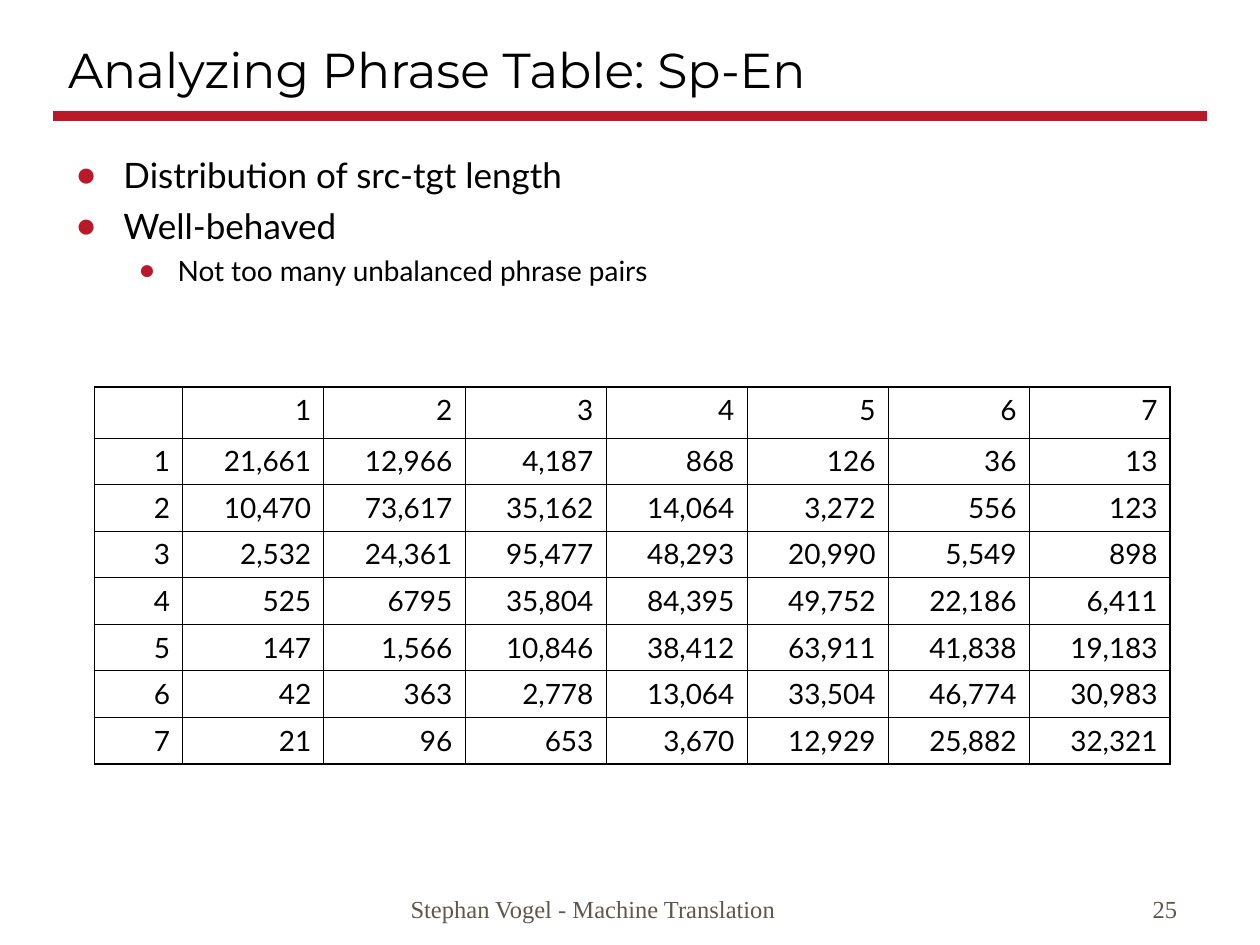
from lxml import etree
from pptx import Presentation
from pptx import util as u
from pptx.dml.color import RGBColor
from pptx.enum import shapes, text
from pptx.oxml import parse_xml
from pptx.oxml.ns import nsdecls, qn

COLORS = {"red": "B91928", "black": "000000", "footer": "5E574E"}
WIDTH, HEIGHT = 10, 7.5
THIN, THICK = 0.45, 1.08

BULLETS = [  # level, text
    (0, "Distribution of src-tgt length"),
    (0, "Well-behaved"),
    (1, "Not too many unbalanced phrase pairs"),
]
LEVELS = [  # font size, space before, left margin, hanging indent
    (20, 5, 0.38, 0.38),
    (16, 4, 0.81, 0.31),
]
COUNTS = [
    ["21,661", "12,966", "4,187", "868", "126", "36", "13"],
    ["10,470", "73,617", "35,162", "14,064", "3,272", "556", "123"],
    ["2,532", "24,361", "95,477", "48,293", "20,990", "5,549", "898"],
    ["525", "6795", "35,804", "84,395", "49,752", "22,186", "6,411"],
    ["147", "1,566", "10,846", "38,412", "63,911", "41,838", "19,183"],
    ["42", "363", "2,778", "13,064", "33,504", "46,774", "30,983"],
    ["21", "96", "653", "3,670", "12,929", "25,882", "32,321"],
]


def place(shape, left, top, width, height):
    shape.left, shape.top = u.Inches(left), u.Inches(top)
    shape.width, shape.height = u.Inches(width), u.Inches(height)


def write(paragraph, words, size=16, font="Lato", color="black",
          align=text.PP_ALIGN.LEFT, before=0):
    paragraph.alignment = align
    paragraph.space_before = u.Pt(before)
    run = paragraph.add_run()
    run.text = words
    run.font.size = u.Pt(size)
    run.font.name = font
    run.font.color.rgb = RGBColor.from_string(COLORS[color])


def set_frame(frame, anchor):
    frame.word_wrap = True
    frame.auto_size = text.MSO_AUTO_SIZE.NONE
    frame.vertical_anchor = anchor


def add_title(slide, words):
    title = slide.shapes.title
    place(title, 0.44, 0.25, 8.5, 0.58)
    set_frame(title.text_frame, text.MSO_ANCHOR.BOTTOM)
    write(title.text_frame.paragraphs[0], words, size=28, font="Montserrat")


def add_rule(slide, y, margin):
    rule = slide.shapes.add_connector(
        shapes.MSO_CONNECTOR.STRAIGHT, u.Inches(margin), u.Inches(y),
        u.Inches(WIDTH - margin), u.Inches(y))
    rule.line.color.rgb = RGBColor.from_string(COLORS["red"])
    rule.line.width = u.Pt(6)
    etree.SubElement(rule._element.spPr, qn("a:effectLst"))


def add_bullet(paragraph, margin, hanging):
    properties = paragraph._p.get_or_add_pPr()
    properties.set("marL", str(u.Inches(margin)))
    properties.set("indent", str(-u.Inches(hanging)))
    color = etree.SubElement(properties, qn("a:buClr"))
    etree.SubElement(color, qn("a:srgbClr"), val=COLORS["red"])
    etree.SubElement(properties, qn("a:buChar"), char="●")


def add_bullets(slide, items):
    body = slide.placeholders[1]
    place(body, 0.5, 1.17, 9.17, 1.75)
    frame = body.text_frame
    set_frame(frame, text.MSO_ANCHOR.TOP)
    for index, (level, words) in enumerate(items):
        size, before, margin, hanging = LEVELS[level]
        paragraph = frame.add_paragraph() if index else frame.paragraphs[0]
        paragraph.level = level
        add_bullet(paragraph, margin, hanging)
        write(paragraph, words, size=size, before=before if index else 0)


def set_borders(cell, outer_sides):
    properties = cell._tc.get_or_add_tcPr()
    for side in "LRTB":
        width = u.Pt(THICK if side in outer_sides else THIN)
        properties.append(parse_xml(
            f'<a:ln{side} {nsdecls("a")} w="{width}"><a:solidFill>'
            f'<a:srgbClr val="{COLORS["black"]}"/></a:solidFill></a:ln{side}>'))


def add_count_table(slide, counts):
    # Source length runs down the rows, target length across the columns
    lengths = [str(number + 1) for number in range(len(counts))]
    rows = [[""] + lengths]
    rows += [[length] + row for length, row in zip(lengths, counts)]
    last = len(rows) - 1
    frame = slide.shapes.add_table(
        len(rows), len(rows[0]), u.Inches(0.75), u.Inches(3.07),
        u.Inches(8.53), u.Inches(2.96))
    table = frame.table
    table.first_row = table.horz_banding = False
    for index, column in enumerate(table.columns):
        column.width = u.Inches(1.12 if index else 0.7)
    for r, row in enumerate(rows):
        table.rows[r].height = u.Inches(0.37)
        for c, words in enumerate(row):
            cell = table.cell(r, c)
            edges = {"L": c == 0, "R": c == last, "T": r == 0, "B": r == last}
            set_borders(cell, [side for side in edges if edges[side]])
            cell.fill.background()
            if words:
                write(cell.text_frame.paragraphs[0], words,
                      align=text.PP_ALIGN.RIGHT)


def add_footer(slide, words, left, width, align=text.PP_ALIGN.LEFT):
    box = slide.shapes.add_textbox(0, 0, 0, 0)
    place(box, left, 6.88, width, 0.5)
    set_frame(box.text_frame, text.MSO_ANCHOR.BOTTOM)
    write(box.text_frame.paragraphs[0], words, size=14,
          font="Times New Roman", color="footer", align=align)


def main():
    presentation = Presentation()
    presentation.slide_width = u.Inches(WIDTH)
    presentation.slide_height = u.Inches(HEIGHT)
    slide = presentation.slides.add_slide(presentation.slide_layouts[1])

    # Heading
    add_rule(slide, y=0.92, margin=0.42)
    add_title(slide, "Analyzing Phrase Table: Sp-En")

    # Content
    add_bullets(slide, BULLETS)
    add_count_table(slide, COUNTS)

    # Footer
    add_footer(slide, "Stephan Vogel - Machine Translation", 3.16, 4.92)
    add_footer(slide, "25", 8.25, 1.19, align=text.PP_ALIGN.RIGHT)

    presentation.save("out.pptx")


if __name__ == "__main__":
    main()
